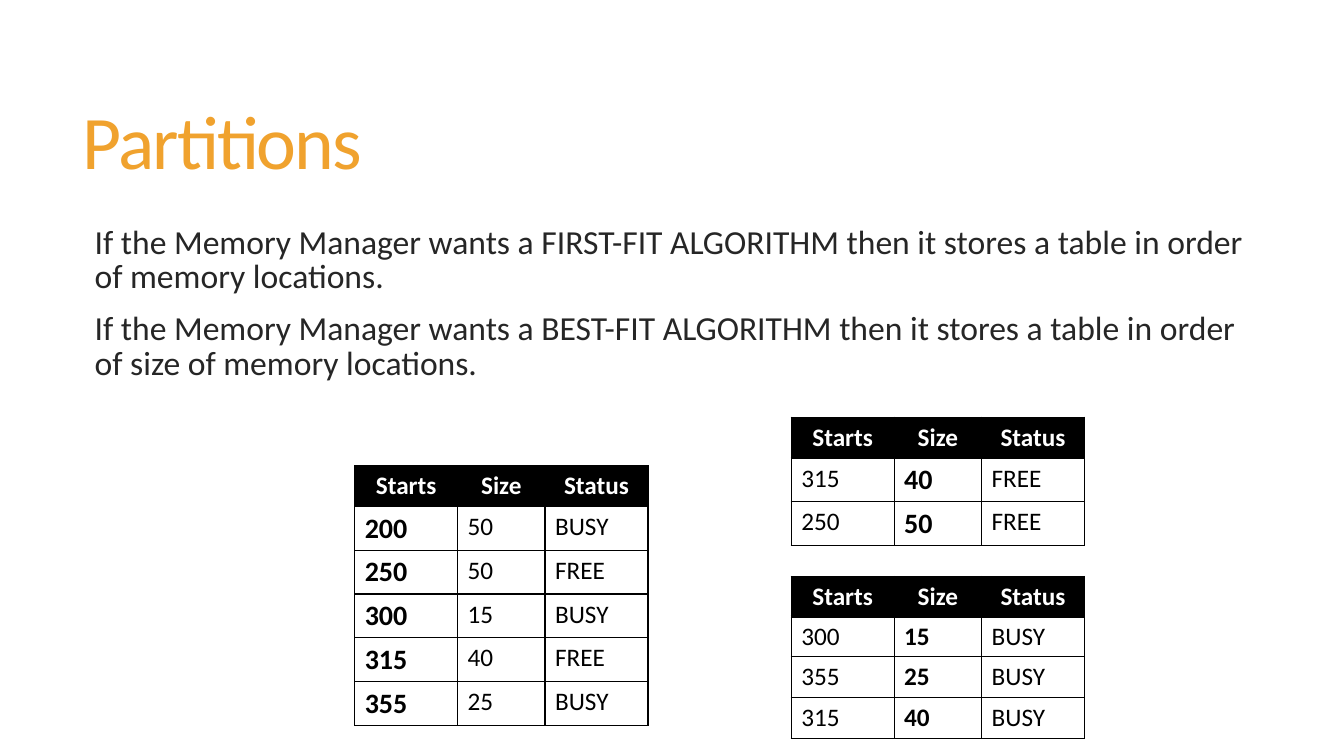
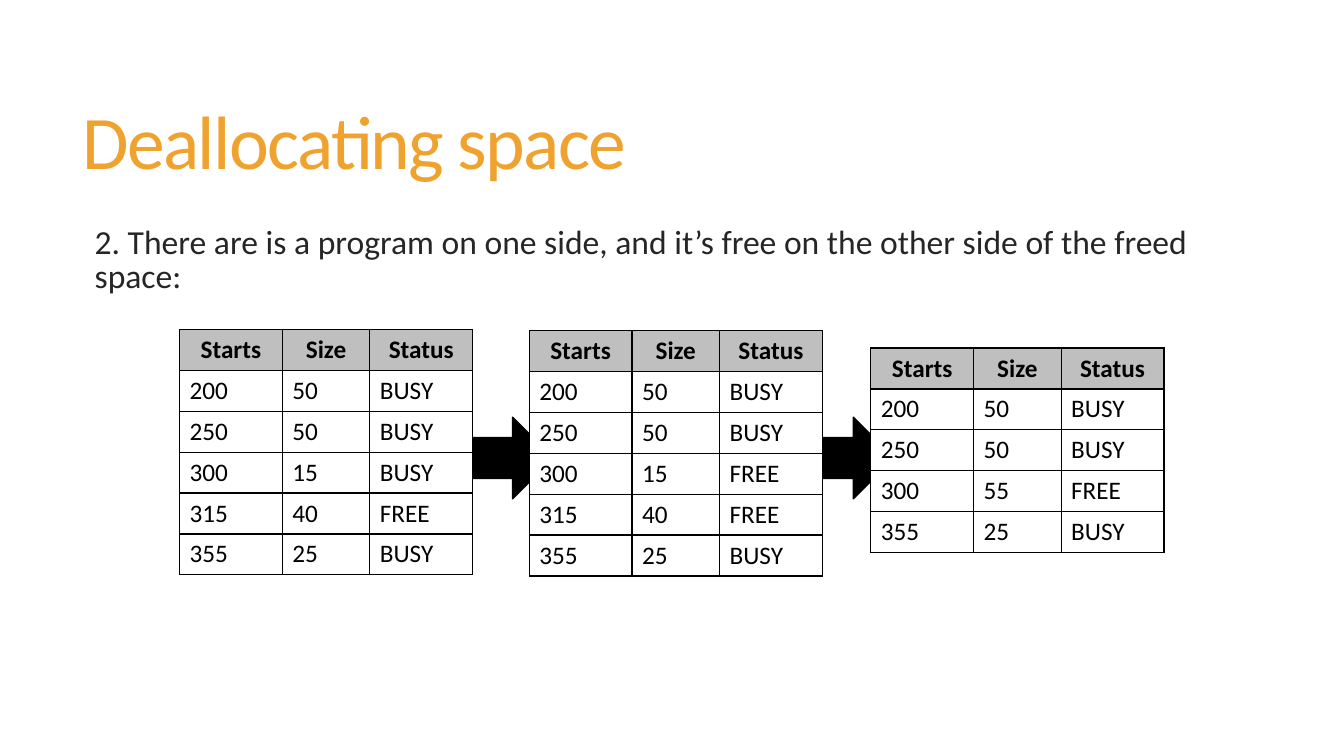
from pptx import Presentation
from pptx.dml.color import RGBColor
from pptx.enum import shapes, text
from pptx.oxml import parse_xml
from pptx.oxml.ns import nsdecls
from pptx.util import Pt

FONT = "Calibri"
BLACK, WHITE, GREY = "000000", "FFFFFF", "BFBFBF"
ORANGE, DARK = "F0A22E", "262626"

TITLE_BOX = (52, 39.6, 848, 130.4)
BODY_BOX = (53.2, 158.4, 847, 296.6)
HEADINGS = ("Starts", "Size", "Status")
COLUMN_WIDTHS = (73.5, 62.5, 73.5)
ROW_HEIGHT = 29.2
ARROW_SIZE = (90.7, 58.3)


def colour(value):
    return RGBColor.from_string(value)


def style(para, size, fill, bold=False):
    for span in para.runs:
        font = span.font
        font.name, font.size, font.bold = FONT, Pt(size), bold
        font.color.rgb = colour(fill)


def add_text(page, box, lines, size, fill):
    """Wrapped text box with one paragraph per line."""
    frame = page.shapes.add_textbox(*map(Pt, box)).text_frame
    frame.word_wrap = True
    frame.text = "\n".join(lines)
    for index, para in enumerate(frame.paragraphs):
        para.line_spacing = 0.85
        if index:
            para.space_before = Pt(13)
        style(para, size, fill)
    return frame


def add_page(deck, title, lines):
    """Blank page with the shared title and body text."""
    page = deck.slides.add_slide(deck.slide_layouts[6])
    heading = add_text(page, TITLE_BOX, [title], 54, ORANGE)
    heading.vertical_anchor = text.MSO_ANCHOR.MIDDLE
    for span in heading.paragraphs[0].runs:
        span._r.get_or_add_rPr().set("spc", "-120")
    body = add_text(page, BODY_BOX, lines, 24, DARK)
    body.margin_left = Pt(14.4)
    return page


def format_cell(cell, value, size, ink, fill, bold, centred):
    cell.text = value
    para = cell.text_frame.paragraphs[0]
    style(para, size, ink, bold)
    if centred:
        para.alignment = text.PP_ALIGN.CENTER
    properties = cell._tc.get_or_add_tcPr()
    for side in "LRTB":
        properties.append(parse_xml(
            f'<a:ln{side} {nsdecls("a")} w="12700"><a:solidFill>'
            f'<a:srgbClr val="{BLACK}"/></a:solidFill></a:ln{side}>'))
    cell.fill.solid()
    cell.fill.fore_color.rgb = colour(fill)


def add_memory_table(page, left, top, rows, header=None,
                     key_column=None, key_size=18):
    """Memory table; header is (text colour, fill), the key column is bold."""
    grid = ([HEADINGS] if header else []) + [row.split() for row in rows]
    frame = page.shapes.add_table(
        len(grid), len(HEADINGS), Pt(left), Pt(top),
        Pt(sum(COLUMN_WIDTHS)), Pt(ROW_HEIGHT * len(grid)))
    table = frame.table
    table.first_row = bool(header)
    table.horz_banding = False
    for column, width in zip(table.columns, COLUMN_WIDTHS):
        column.width = Pt(width)
    for r, values in enumerate(grid):
        table.rows[r].height = Pt(ROW_HEIGHT)
        is_header = bool(header) and r == 0
        ink, fill = header if is_header else (BLACK, WHITE)
        for c, value in enumerate(values):
            is_key = c == key_column and not is_header
            format_cell(table.cell(r, c), value, key_size if is_key else 18,
                        ink, fill, is_header or is_key, is_header)


def add_arrow(page, left, top):
    arrow = page.shapes.add_shape(shapes.MSO_SHAPE.RIGHT_ARROW,
                                  Pt(left), Pt(top), *map(Pt, ARROW_SIZE))
    arrow.shadow.inherit = False
    arrow.fill.solid()
    arrow.fill.fore_color.rgb = colour(BLACK)
    arrow.line.color.rgb = colour(BLACK)
    arrow.line.width = Pt(1)


def partitions_page(deck):
    page = add_page(deck, "Partitions", [
        f"If the Memory Manager wants a {name} ALGORITHM then it stores "
        f"a table in order of {order}memory locations."
        for name, order in (("FIRST-FIT", ""), ("BEST-FIT", "size of "))])
    header = (WHITE, BLACK)
    # First fit: ordered by start
    add_memory_table(page, 253.4, 332.6,
                     ["200 50 BUSY", "250 50 FREE", "300 15 BUSY",
                      "315 40 FREE", "355 25 BUSY"], header, 0, 20)
    # Best fit: free and busy lists ordered by size
    right = 565.2
    add_memory_table(page, right, 298,
                     ["315 40 FREE", "250 50 FREE"], header, 1, 20)
    add_memory_table(page, right, 440,
                     ["300 15 BUSY", "355 25 BUSY", "315 40 BUSY"],
                     key_column=1)
    add_memory_table(page, right, 411.8, [], header)


def deallocating_page(deck):
    page = add_page(deck, "Deallocating space", [
        "2. There are is a program on one side, and it’s free on the other "
        "side of the freed space:"])
    # Arrows lie behind the tables
    for left in (304.6, 548):
        add_arrow(page, left, 298)
    # Before, freed, merged
    start, end = ["200 50 BUSY", "250 50 BUSY"], ["355 25 BUSY"]
    steps = ((128.2, 235.4, ["300 15 BUSY", "315 40 FREE"]),
             (378, 236.2, ["300 15 FREE", "315 40 FREE"]),
             (622, 248.6, ["300 55 FREE"]))
    for left, top, middle in steps:
        add_memory_table(page, left, top, start + middle + end, (BLACK, GREY))


def main():
    deck = Presentation()
    deck.slide_width, deck.slide_height = Pt(960), Pt(540)
    partitions_page(deck)
    deallocating_page(deck)
    deck.save("out.pptx")


if __name__ == "__main__":
    main()
